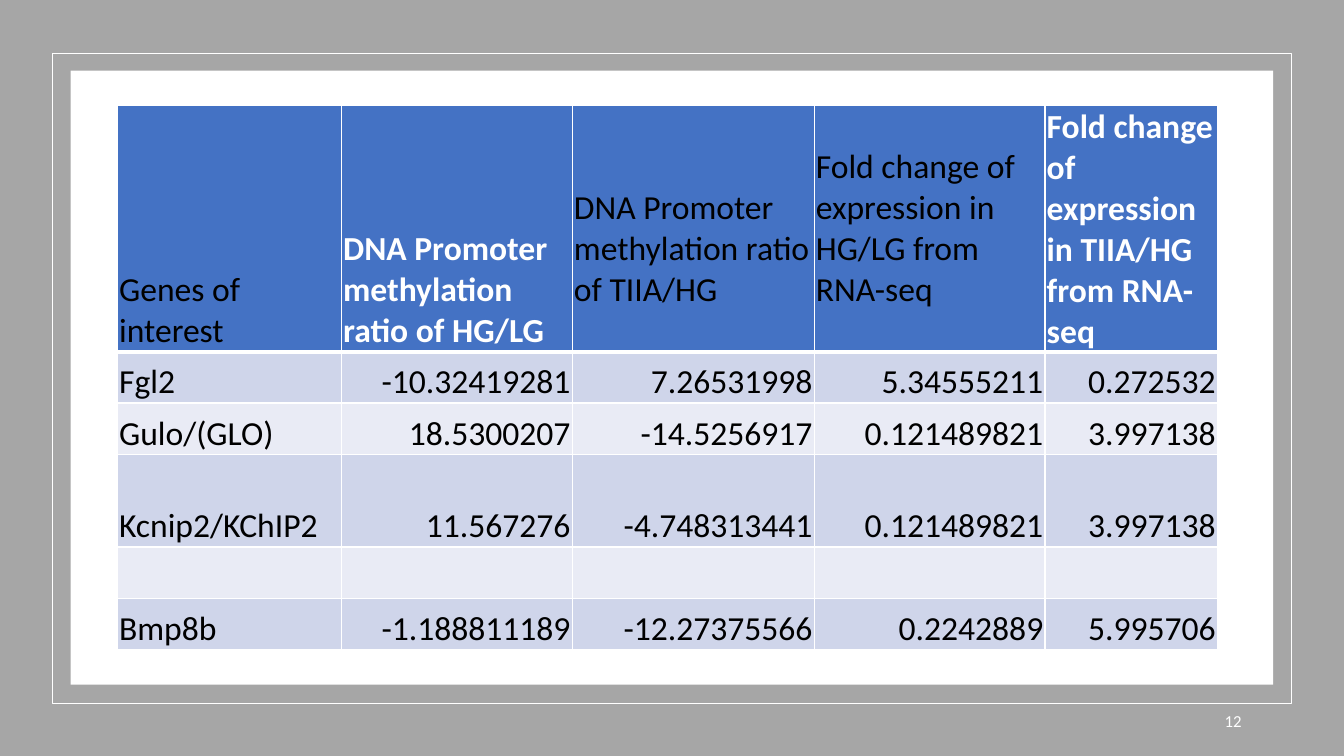
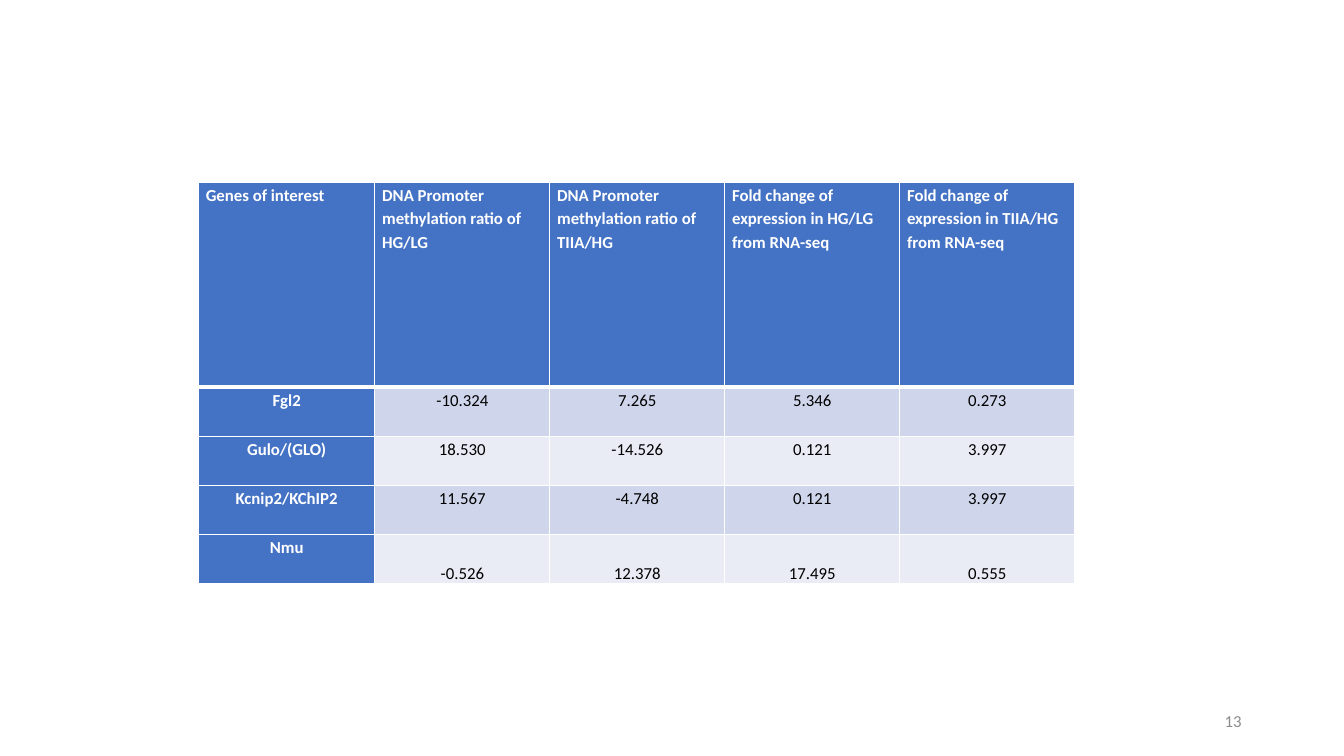
from dataclasses import dataclass

from lxml import etree
from pptx import Presentation
from pptx.dml.color import RGBColor
from pptx.enum.shapes import MSO_SHAPE
from pptx.enum.text import MSO_ANCHOR, PP_ALIGN
from pptx.oxml.ns import qn
from pptx.util import Pt

RECTANGLE = MSO_SHAPE.RECTANGLE
TOP, MIDDLE, BOTTOM = MSO_ANCHOR.TOP, MSO_ANCHOR.MIDDLE, MSO_ANCHOR.BOTTOM
LEFT, CENTER, RIGHT = PP_ALIGN.LEFT, PP_ALIGN.CENTER, PP_ALIGN.RIGHT


@dataclass(frozen=True)
class Theme:
    font: str = "Calibri"
    white: str = "FFFFFF"
    black: str = "000000"
    frame: str = "A6A6A6"
    header: str = "4472C4"
    bands: tuple = ("CFD5EA", "E9EBF5")
    muted: str = "8C8C8C"
    number_size: float = 12
    large_size: float = 24
    small_size: float = 12
    rule: float = 1
    header_rule: float = 3


THEME = Theme()

# Content
HEADINGS = [
    "Genes of interest",
    "DNA Promoter methylation ratio of HG/LG",
    "DNA Promoter methylation ratio of TIIA/HG",
    "Fold change of expression in HG/LG from RNA-seq",
    "Fold change of expression in TIIA/HG from RNA-seq",
]
FULL_RESULTS = [
    ("Fgl2", "-10.32419281", "7.26531998", "5.34555211", "0.272532"),
    ("Gulo/(GLO)", "18.5300207", "-14.5256917", "0.121489821", "3.997138"),
    ("Kcnip2/KChIP2", "11.567276", "-4.748313441", "0.121489821", "3.997138"),
    ("", "", "", "", ""),
    ("Bmp8b", "-1.188811189", "-12.27375566", "0.2242889", "5.995706"),
]
ROUNDED_RESULTS = [
    ("Fgl2", "-10.324", "7.265", "5.346", "0.273"),
    ("Gulo/(GLO)", "18.530", "-14.526", "0.121", "3.997"),
    ("Kcnip2/KChIP2", "11.567", "-4.748", "0.121", "3.997"),
    ("Nmu", "-0.526", "12.378", "17.495", "0.555"),
]

# Frame panels: left, top, width, height, fill, line
PANELS = [
    (0, 0, 960, 540, THEME.frame, None),
    (37.5, 38, 885, 464.5, None, THEME.white),
    (50.5, 50.5, 859, 438.5, THEME.white, None),
]


def rgb(color):
    return RGBColor.from_string(color)


def style_text(frame, size, color, bold=False, align=LEFT, spacing=None):
    para = frame.paragraphs[0]
    para.alignment = align
    para.line_spacing = spacing
    font = para.font
    for target in [font] + [span.font for span in para.runs]:
        target.name, target.size, target.bold = THEME.font, Pt(size), bold
        target.color.rgb = rgb(color)


def add_panel(page, left, top, width, height, fill, line):
    panel = page.shapes.add_shape(
        RECTANGLE, Pt(left), Pt(top), Pt(width), Pt(height))
    panel.shadow.inherit = False
    if fill:
        panel.fill.solid()
        panel.fill.fore_color.rgb = rgb(fill)
    else:
        panel.fill.background()
    if line:
        panel.line.color.rgb = rgb(line)
        panel.line.width = Pt(THEME.rule)
    else:
        panel.line.fill.background()


def add_page_number(page, number, color):
    box = page.shapes.add_textbox(Pt(678), Pt(500.5), Pt(216), Pt(28.8))
    frame = box.text_frame
    frame.word_wrap = True
    frame.vertical_anchor = MIDDLE
    frame.text = str(number)
    style_text(frame, THEME.number_size, color, align=RIGHT)


def set_borders(cell, row):
    """Thin white rules, with a thicker one under the header row."""
    thick_sides = {0: "lnB", 1: "lnT"}
    properties = cell._tc.get_or_add_tcPr()
    for side in ("lnL", "lnR", "lnT", "lnB"):
        thick = thick_sides.get(row) == side
        width = THEME.header_rule if thick else THEME.rule
        line = etree.SubElement(properties, qn("a:" + side), w=str(Pt(width)))
        solid = etree.SubElement(line, qn("a:solidFill"))
        etree.SubElement(solid, qn("a:srgbClr"), val=THEME.white)


def add_results(page, left, top, widths, heights, results, style_cell):
    rows = [HEADINGS, *results]
    table = page.shapes.add_table(
        len(rows), len(widths), Pt(left), Pt(top),
        Pt(sum(widths)), Pt(sum(heights))).table
    for column, width in zip(table.columns, widths):
        column.width = Pt(width)
    for r, (values, height) in enumerate(zip(rows, heights)):
        table.rows[r].height = Pt(height)
        for c, value in enumerate(values):
            cell = table.cell(r, c)
            set_borders(cell, r)
            cell.text = value
            fill = style_cell(cell, r, c)
            cell.fill.solid()
            cell.fill.fore_color.rgb = rgb(fill)


def set_margins(cell, side, top, bottom):
    cell.margin_left = cell.margin_right = Pt(side)
    cell.margin_top, cell.margin_bottom = Pt(top), Pt(bottom)


def style_full(cell, row, column):
    header = row == 0
    strong = header and column in (1, 4)
    raised = header and column in (2, 3)  # one text line higher
    set_margins(cell, 1.2, 1.2, 29.3 if raised else 0)
    cell.vertical_anchor = BOTTOM
    style_text(cell.text_frame, THEME.large_size,
               THEME.white if strong else THEME.black, strong,
               LEFT if header or column == 0 else RIGHT)
    return THEME.header if header else THEME.bands[(row - 1) % 2]


def style_rounded(cell, row, column):
    heading = row == 0 or column == 0
    last_values = row == len(ROUNDED_RESULTS) and column > 0
    set_margins(cell, 5.2, 0, 0)
    cell.vertical_anchor = BOTTOM if last_values else TOP
    style_text(cell.text_frame, THEME.small_size,
               THEME.white if heading else THEME.black, heading,
               LEFT if row == 0 else CENTER, 1.15)
    return THEME.header if heading else THEME.bands[(row - 1) % 2]


def main():
    deck = Presentation()
    deck.slide_width, deck.slide_height = Pt(960), Pt(540)
    blank = deck.slide_layouts[6]

    # Full-precision results in a frame
    page = deck.slides.add_slide(blank)
    for panel in PANELS:
        add_panel(page, *panel)
    add_page_number(page, 12, THEME.white)
    add_results(page, 83.9, 75.2, [160, 164.9, 172.8, 164.9, 123.1],
                [176, 36.7, 36.7, 66.2, 36.7, 36.7],
                FULL_RESULTS, style_full)

    # Rounded results
    page = deck.slides.add_slide(blank)
    add_page_number(page, 13, THEME.muted)
    add_results(page, 141.8, 130.3, [126] + [125] * 4,
                [146.2] + [35.1] * 4, ROUNDED_RESULTS, style_rounded)

    deck.save("out.pptx")


if __name__ == "__main__":
    main()
